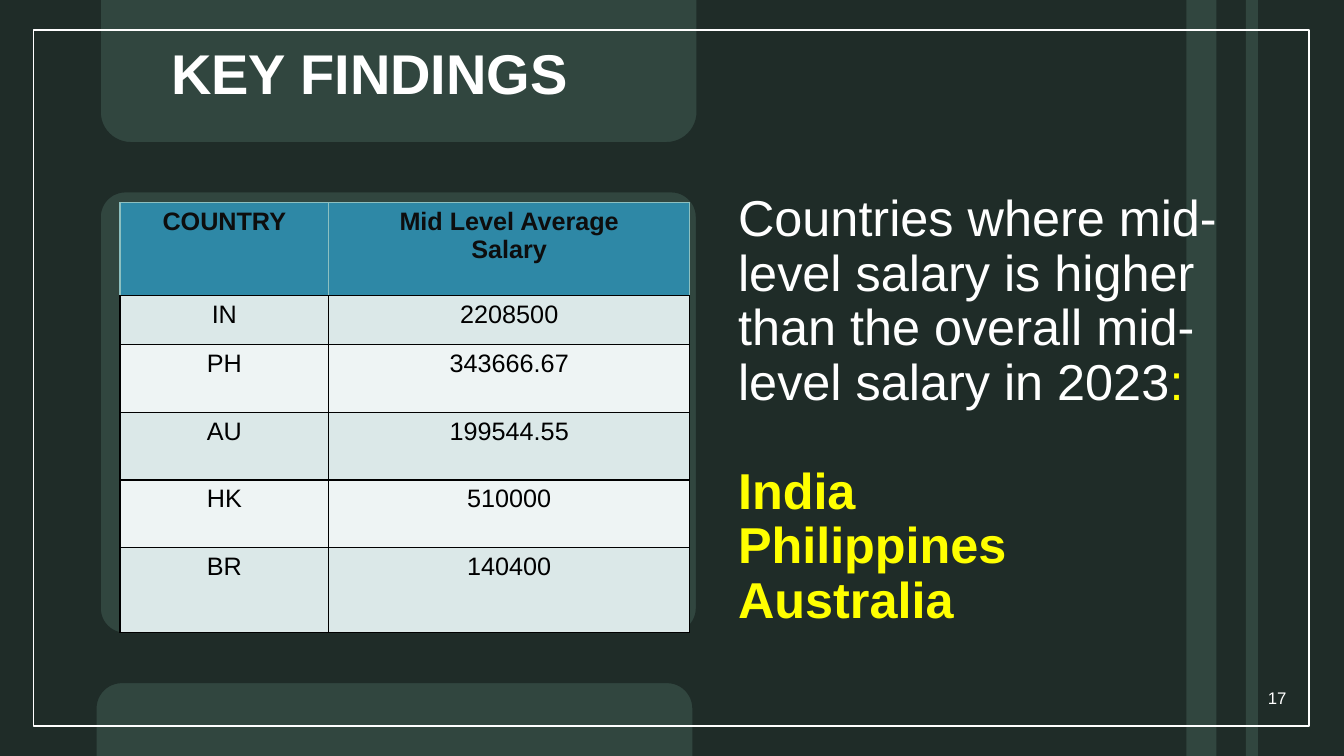
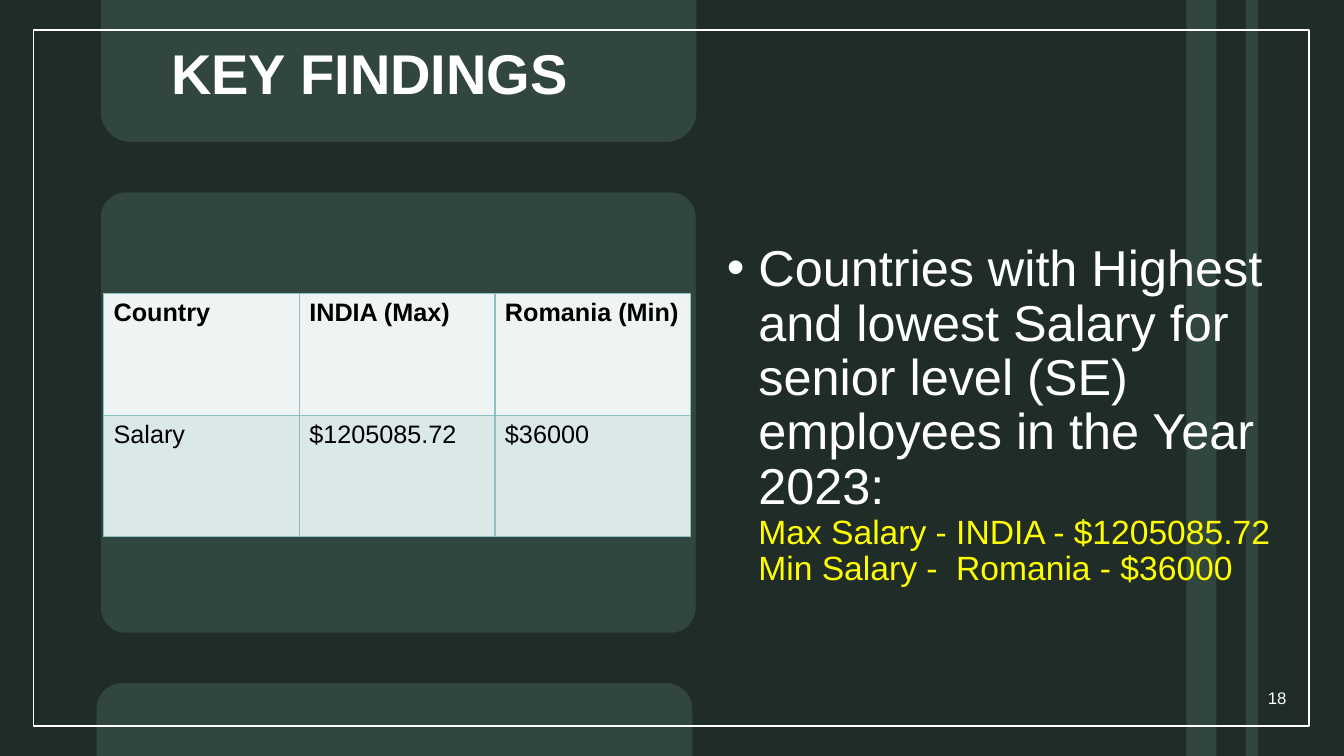
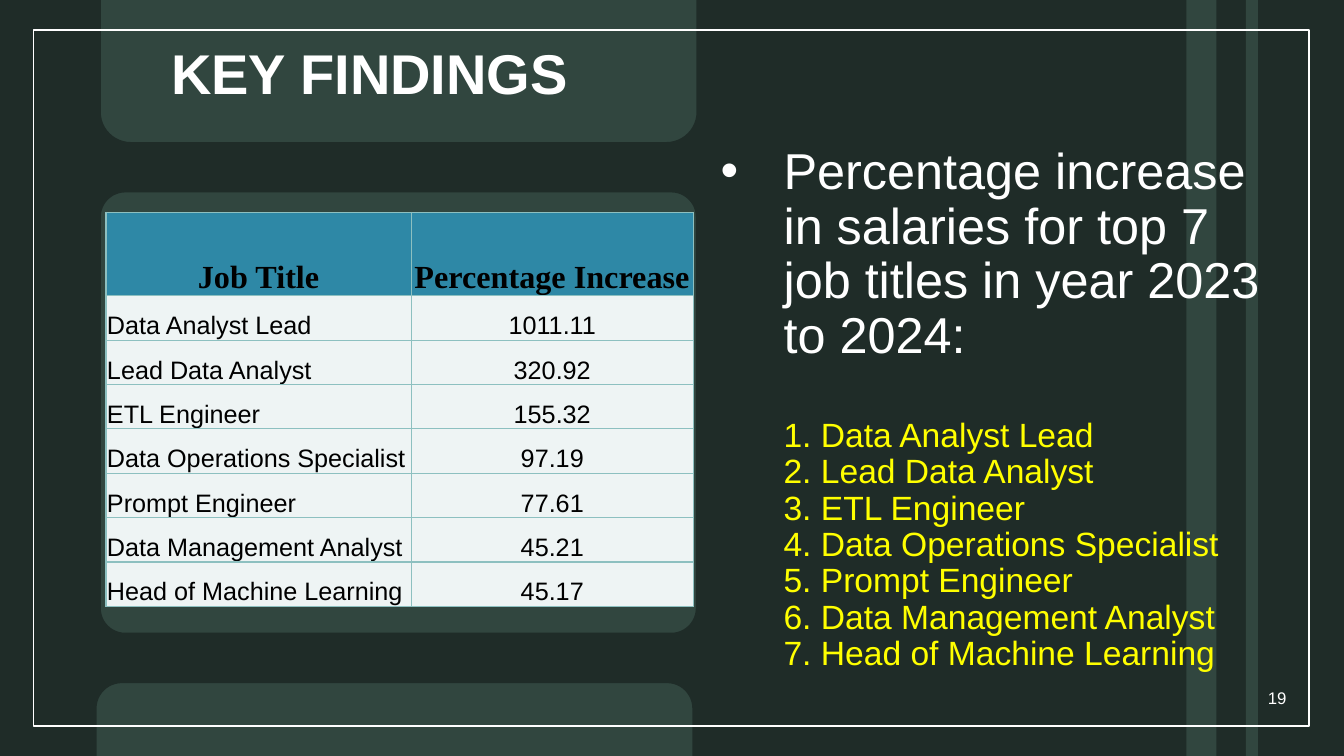
import math
from pptx import Presentation
from pptx.dml.color import RGBColor
from pptx.enum import shapes, text
from pptx.oxml import xmlchemy
from pptx.util import Pt

# Colours and fonts
DARK = RGBColor(0x1F, 0x2C, 0x28)
GREEN = RGBColor(0x31, 0x46, 0x3F)
WHITE = RGBColor(0xFF, 0xFF, 0xFF)
YELLOW = RGBColor(0xFF, 0xFF, 0x00)
BLACK = RGBColor(0x00, 0x00, 0x00)
INK = RGBColor(0x0D, 0x0D, 0x0D)
BLUE = RGBColor(0x2E, 0x88, 0xA6)
TEAL = RGBColor(0x8D, 0xC0, 0xC0)
MIST = RGBColor(0xDB, 0xE8, 0xE8)
PALE = RGBColor(0xEE, 0xF4, 0xF4)
SANS, SERIF = "Arial", "Times New Roman"

LEFT, CENTER, RIGHT = text.PP_ALIGN.LEFT, text.PP_ALIGN.CENTER, text.PP_ALIGN.RIGHT
TOP, MIDDLE, BOTTOM = (text.MSO_ANCHOR.TOP, text.MSO_ANCHOR.MIDDLE,
                       text.MSO_ANCHOR.BOTTOM)

# Content: lengths in points, boxes are left, top, width, height
WIDTH, HEIGHT = 960, 540
TITLE = "KEY FINDINGS"
TITLE_BOX = (115, 14.5, 355, 65.5)
NUMBER_BOX = (859.5, 484, 66.5, 28.5)
FIRST_NUMBER = 17

PAGES = [
    {
        "body_box": (520, 78.5, 407, 374.5),
        "indent": 0,
        "lead": [("Countries where mid-level salary is higher than the overall "
                  "mid-level salary in 2023", WHITE), (":", YELLOW)],
        "lines": ["India", "Philippines", "Australia"],
        "line_size": 36, "line_bold": True, "gap": 39,
        "table": {
            "at": (85.75, 144.75),
            "columns": [149, 258], "rows": [66.5, 34.7, 48.5, 48.5, 48.5, 60.7],
            "cells": [("COUNTRY", "Mid Level Average\nSalary"),
                      ("IN", "2208500"), ("PH", "343666.67"),
                      ("AU", "199544.55"), ("HK", "510000"), ("BR", "140400")],
            "fills": [BLUE, MIST, PALE, MIST, PALE, MIST],
            "aligns": [CENTER, CENTER], "header": (SANS, 18, INK, CENTER),
            "border": BLACK, "header_border": TEAL,
            "anchor": TOP, "margins": (7.2, 3.6, 7.2, 3.6),
        },
    },
    {
        "body_box": (512, 147, 407, 276.5),
        "indent": 22.5,
        "lead": [("Countries with Highest and lowest Salary for senior level (SE) "
                  "employees in the Year 2023:", WHITE)],
        "lines": ["Max Salary - INDIA - $1205085.72", "Min Salary -  Romania - $36000"],
        "line_size": 24, "line_bold": False, "gap": 0,
        "table": {
            "at": (74, 209.5),
            "columns": [139.75] * 3, "rows": [87, 87],
            "cells": [("Country", "INDIA (Max)", "Romania (Min)"),
                      ("Salary", "$1205085.72", "$36000")],
            "fills": [PALE, MIST],
            "aligns": [LEFT] * 3, "header": (SANS, 18, BLACK, LEFT),
            "border": TEAL, "header_border": TEAL,
            "anchor": TOP, "margins": (7.2, 3.6, 7.2, 3.6),
        },
    },
    {
        "body_box": (507.5, 94.5, 407, 389.5),
        "indent": 45,
        "lead": [("Percentage increase in salaries for top 7 job titles in year "
                  "2023 to 2024:", WHITE)],
        "lines": ["1. Data Analyst Lead", "2. Lead Data Analyst", "3. ETL Engineer",
                  "4. Data Operations Specialist", "5. Prompt Engineer",
                  "6. Data Management Analyst", "7. Head of Machine Learning"],
        "line_size": 24, "line_bold": False, "gap": 39,
        "table": {
            "at": (75.75, 151.75),
            "columns": [218, 201.5], "rows": [59.5] + [31.7] * 7,
            "cells": [("Job Title", "Percentage Increase"),
                      ("Data Analyst Lead", "1011.11"),
                      ("Lead Data Analyst", "320.92"),
                      ("ETL Engineer", "155.32"),
                      ("Data Operations Specialist", "97.19"),
                      ("Prompt Engineer", "77.61"),
                      ("Data Management Analyst", "45.21"),
                      ("Head of Machine Learning", "45.17")],
            "fills": [BLUE] + [PALE] * 7,
            "aligns": [LEFT, CENTER], "header": (SERIF, 23, BLACK, CENTER),
            "border": TEAL, "header_border": TEAL,
            "anchor": BOTTOM, "margins": (0.7, 0.7, 0.7, 0),
        },
    },
]


def place(shape, box):
    shape.left, shape.top, shape.width, shape.height = map(Pt, box)


def style(span, size, color, bold=False, font=SANS):
    span.font.name, span.font.size, span.font.bold = font, Pt(size), bold
    span.font.color.rgb = color


def add_child(parent, tag, **attributes):
    child = xmlchemy.OxmlElement(tag)
    for name, value in attributes.items():
        child.set(name, str(value))
    parent.append(child)
    return child


def corners(left, top, right, bottom, radius, starts):
    """Points of rounded corners, each a quarter turn from its start angle."""
    centers = {180: (left + radius, bottom - radius), 90: (right - radius, bottom - radius),
               0: (right - radius, top + radius), -90: (left + radius, top + radius)}
    points = []
    for start in starts:
        x, y = centers[start]
        for step in range(13):
            angle = math.radians(start - 90 * step / 12)
            points.append((Pt(x + radius * math.cos(angle)),
                           Pt(y + radius * math.sin(angle))))
    return points


def add_backdrop(page, layout):
    """Draw the shared panel, bands and frame, and move them to the layout."""
    right, floor = Pt(WIDTH), Pt(HEIGHT)
    outline = [(Pt(72), 0), *corners(72, 0, 497.5, 101.5, 21.5, [180, 90]),
               (Pt(497.5), 0), (right, 0), (right, floor), (Pt(494.5), floor),
               *corners(69, 488, 494.5, HEIGHT, 18, [0, -90]),
               (Pt(69), floor), (0, floor)]
    window = corners(72, 137.5, 497, 452, 17.5, [180, 90, 0, -90])
    builder = page.shapes.build_freeform(0, 0)
    builder.add_line_segments(outline, close=True)
    builder.move_to(*window[0])
    builder.add_line_segments(window[1:], close=True)
    parts = [(builder.convert_to_shape(), DARK)]
    for box, fill in [((890, 0, 8.5, HEIGHT), GREEN), ((847.5, 0, 21.5, HEIGHT), GREEN),
                      ((24, 21.5, 911, 497), None)]:
        bar = page.shapes.add_shape(shapes.MSO_SHAPE.RECTANGLE, *map(Pt, box))
        parts.append((bar, fill))
    for index, (shape, fill) in enumerate(parts):
        shape.shadow.inherit = False
        if fill is None:
            shape.fill.background()
            shape.line.color.rgb, shape.line.width = WHITE, Pt(1)
        else:
            shape.fill.solid()
            shape.fill.fore_color.rgb = fill
            shape.line.fill.background()
        shape.element.nvSpPr.cNvPr.set("id", str(20 + index))
        layout.shapes.element.insert(2 + index, shape.element)


def fill_title(box):
    place(box, TITLE_BOX)
    frame = box.text_frame
    frame.text = TITLE
    frame.vertical_anchor, frame.auto_size = BOTTOM, text.MSO_AUTO_SIZE.NONE
    para = frame.paragraphs[0]
    para.alignment, para.line_spacing = LEFT, 0.9
    style(para.runs[0], 40, WHITE, bold=True)


def fill_body(box, content):
    place(box, content["body_box"])
    frame = box.text_frame
    frame.vertical_anchor, frame.auto_size = BOTTOM, text.MSO_AUTO_SIZE.NONE
    lead = [(words, 36, color, False) for words, color in content["lead"]]
    lines = [[(words, content["line_size"], YELLOW, content["line_bold"])]
             for words in content["lines"]]
    indent = content["indent"]
    for index, spans in enumerate([lead, *lines]):
        para = frame.add_paragraph() if index else frame.paragraphs[0]
        bulleted = index == 0 and indent > 0
        properties = para._p.get_or_add_pPr()
        properties.set("marL", str(Pt(indent)))
        properties.set("indent", str(Pt(-indent) if bulleted else 0))
        if bulleted:
            add_child(properties, "a:buChar", char="•")
        else:
            add_child(properties, "a:buNone")
        para.line_spacing = 0.9
        para.space_before = Pt(content["gap"] if index == 1 else 0)
        for words, size, color, bold in spans:
            span = para.add_run()
            span.text = words
            style(span, size, color, bold)


def set_border(cell, side, color):
    line = add_child(cell._tc.get_or_add_tcPr(), f"a:ln{side}", w=Pt(1))
    add_child(add_child(line, "a:solidFill"), "a:srgbClr", val=color)


def add_salary_table(page, data):
    columns, rows = data["columns"], data["rows"]
    size = (sum(columns), sum(rows))
    table = page.shapes.add_table(len(rows), len(columns),
                                  *map(Pt, data["at"] + size)).table
    table.horz_banding = False
    for column, width in zip(table.columns, columns):
        column.width = Pt(width)
    for r, (row, height) in enumerate(zip(table.rows, rows)):
        row.height = Pt(height)
        for c, cell in enumerate(row.cells):
            font, points, color, align = (data["header"] if r == 0 else
                                          (SANS, 18, BLACK, data["aligns"][c]))
            for side in "LRTB":
                heading = r == 0 and side != "B"
                set_border(cell, side, data["header_border" if heading else "border"])
            cell.fill.solid()
            cell.fill.fore_color.rgb = data["fills"][r]
            cell.vertical_anchor = data["anchor"]
            (cell.margin_left, cell.margin_top,
             cell.margin_right, cell.margin_bottom) = map(Pt, data["margins"])
            cell.text_frame.text = data["cells"][r][c]
            for para in cell.text_frame.paragraphs:
                para.alignment = align
                style(para.runs[0], points, color, r == 0, font)


def add_number(page, number):
    frame = page.shapes.add_textbox(*map(Pt, NUMBER_BOX)).text_frame
    frame.word_wrap, frame.vertical_anchor = True, MIDDLE
    frame.text = str(number)
    frame.paragraphs[0].alignment = RIGHT
    style(frame.paragraphs[0].runs[0], 12, WHITE)


def main():
    deck = Presentation()
    deck.slide_width, deck.slide_height = Pt(WIDTH), Pt(HEIGHT)
    background = deck.slide_master.background.fill
    background.solid()
    background.fore_color.rgb = GREEN
    layout = deck.slide_layouts[1]
    for index, content in enumerate(PAGES):
        page = deck.slides.add_slide(layout)
        if index == 0:
            add_backdrop(page, layout)
        fill_title(page.shapes.title)
        fill_body(page.placeholders[1], content)
        add_salary_table(page, content["table"])
        add_number(page, FIRST_NUMBER + index)
    deck.save("out.pptx")


if __name__ == "__main__":
    main()
